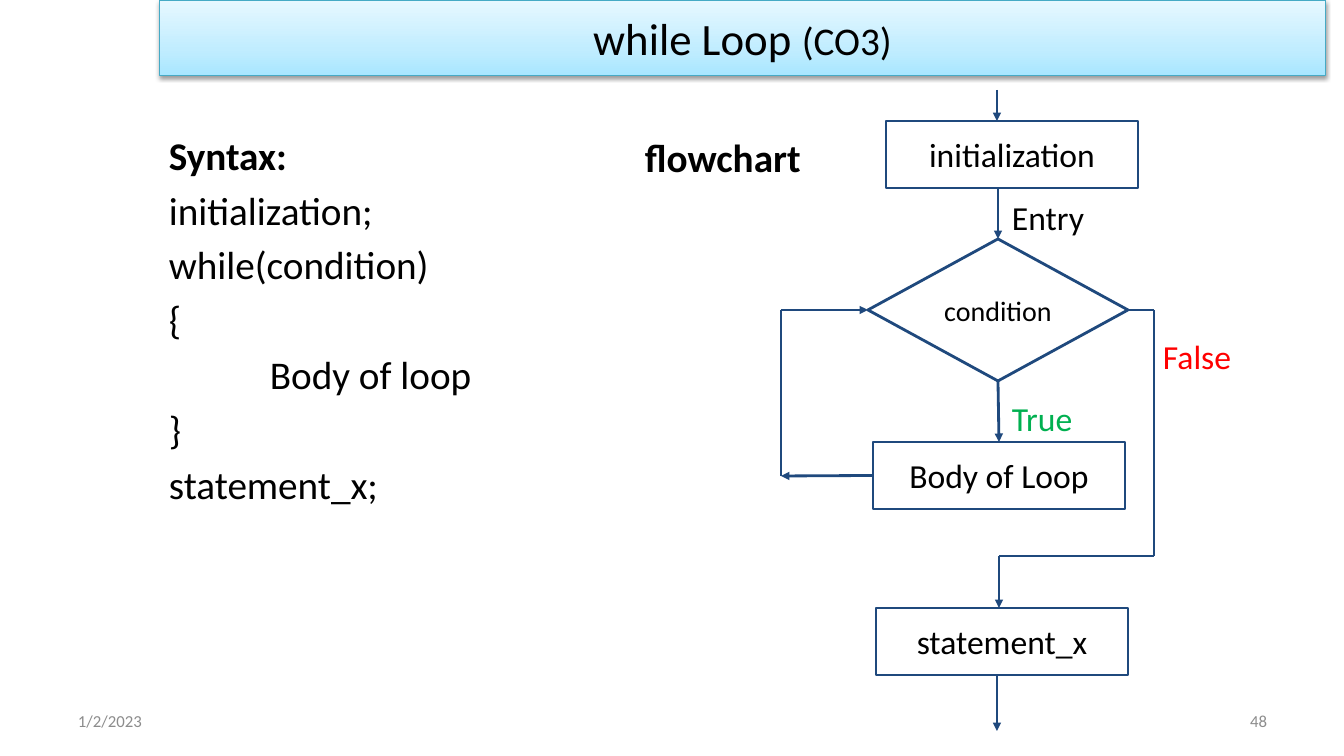
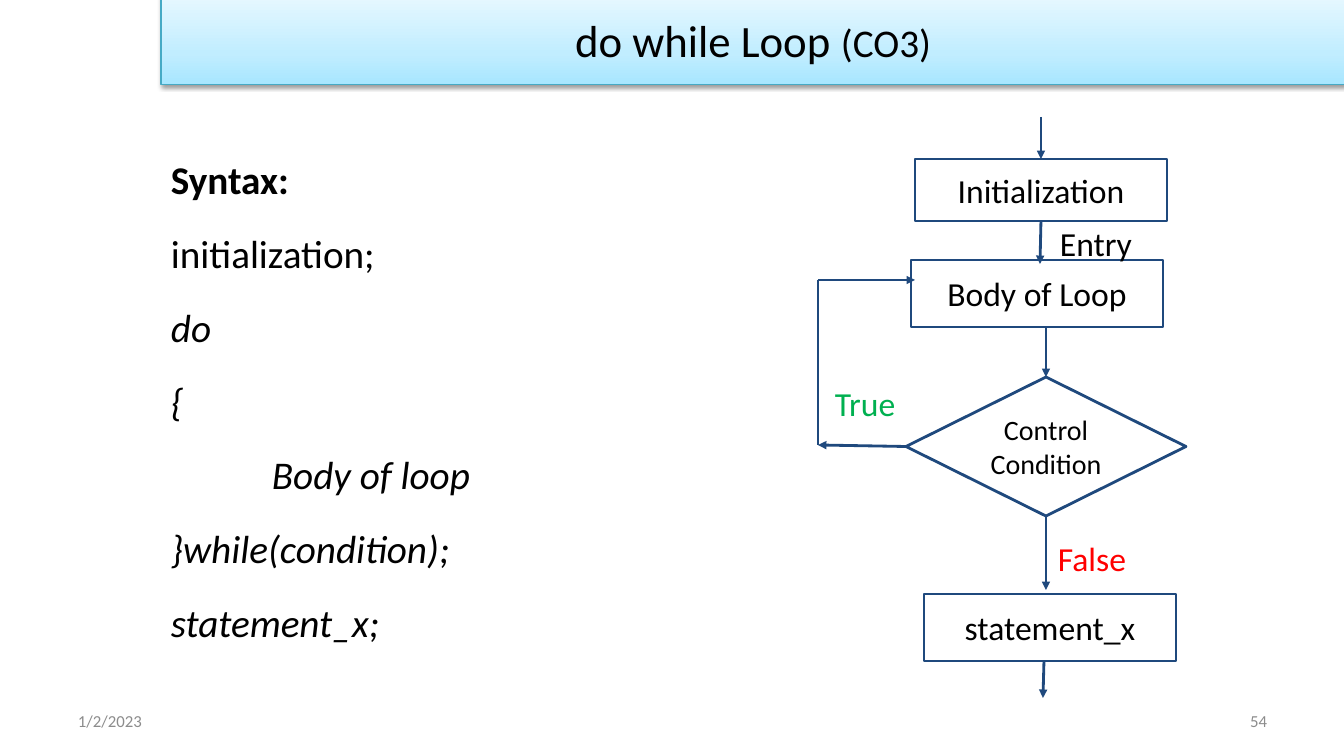
"""Build two slides that explain the while and do while loops with flowcharts."""
from itertools import pairwise

from lxml import etree
from pptx import Presentation
from pptx.dml.color import RGBColor
from pptx.enum.shapes import MSO_CONNECTOR, MSO_SHAPE
from pptx.enum.text import MSO_ANCHOR, PP_ALIGN
from pptx.oxml.ns import qn
from pptx.util import Pt

EMU_PER_PX = 914400 / 100.8
STRAIGHT = MSO_CONNECTOR.STRAIGHT
RECTANGLE = MSO_SHAPE.RECTANGLE
PROCESS = MSO_SHAPE.FLOWCHART_PROCESS
DECISION = MSO_SHAPE.FLOWCHART_DECISION
LEFT, CENTER, RIGHT = PP_ALIGN.LEFT, PP_ALIGN.CENTER, PP_ALIGN.RIGHT
TOP_ANCHOR, MIDDLE = MSO_ANCHOR.TOP, MSO_ANCHOR.MIDDLE
TOP, LEFT_SIDE, BOTTOM, RIGHT_SIDE = range(4)

FONT = "Calibri"
BLACK, WHITE, GRAY = "000000", "FFFFFF", "8C8C8C"
NAVY, TEAL, GREEN, RED = "1F497D", "46AAC5", "00B050", "FF0000"
BAND_STOPS = [(0, "A7E6FF"), (35, "C1EDFF"), (100, "E7F8FF")]
BOLD, ITALIC, PLAIN = {"bold": True}, {"italic": True}, {}
INDENT = 101

SLIDES = [
    {
        "title": "while Loop ",
        "band": (159, 0, 1167, 76),
        "number": "48",
        "syntax_area": (159, 126, 462, 521),
        "line_spacing": 1.0,
        "syntax": [
            ("Syntax:", BOLD, 0),
            ("initialization;", PLAIN, 0),
            ("while(condition)", PLAIN, 0),
            ("{", PLAIN, 0),
            ("Body of loop", PLAIN, INDENT),
            ("}", PLAIN, 0),
            ("statement_x;", PLAIN, 0),
        ],
        "steps": {
            "init": (PROCESS, "initialization", 24, (886, 121, 252, 67)),
            "condition": (DECISION, "condition", 20, (868, 239, 260, 142)),
            "body": (PROCESS, "Body of Loop", 24, (873, 442, 252, 67)),
            "statement": (PROCESS, "statement_x", 24, (876, 608, 252, 67)),
        },
        "routes": [
            [(997, 90), (997, 121)],
            [(998, 188), ("condition", TOP)],
            [("condition", BOTTOM), ("body", TOP)],
            [("body", LEFT_SIDE), (781, 476)],
            [(781, 476), (781, 310), ("condition", LEFT_SIDE)],
            [("condition", RIGHT_SIDE), (1154, 310), (1154, 556), (999, 556), (999, 608)],
            [(997, 675), (997, 731)],
        ],
        "labels": [
            ("Entry", BLACK, 24, PLAIN, (1002, 192, 101, 50)),
            ("True", GREEN, 24, PLAIN, (1002, 393, 82, 50)),
            ("False", RED, 24, PLAIN, (1153, 331, 123, 50)),
            ("flowchart", BLACK, 28, BOLD, (635, 128, 222, 56)),
        ],
    },
    {
        "title": "do while Loop ",
        "band": (161, -5, 1184, 90),
        "number": "54",
        "syntax_area": (161, 132, 540, 557),
        "line_spacing": 1.4,
        "syntax": [
            ("Syntax:", BOLD, 0),
            ("initialization;", PLAIN, 0),
            ("do", ITALIC, 0),
            ("{", ITALIC, 0),
            ("Body of loop", ITALIC, INDENT),
            ("}while(condition);", ITALIC, 0),
            ("statement_x;", ITALIC, 0),
        ],
        "steps": {
            "init": (PROCESS, "Initialization", 24, (915, 159, 252, 62)),
            "body": (PROCESS, "Body of Loop", 24, (911, 260, 252, 67)),
            "condition": (DECISION, "Control Condition", 20, (906, 377, 280, 139)),
            "statement": (PROCESS, "statement_x", 24, (924, 594, 252, 67)),
        },
        "routes": [
            [(1041, 117), ("init", TOP)],
            [("init", BOTTOM), (1040, 264)],
            [(1046, 328), ("condition", TOP)],
            [("condition", LEFT_SIDE), (818, 445)],
            [(818, 445), (818, 280), (915, 280)],
            [("condition", BOTTOM), (1046, 590)],
            [(1044, 661), (1043, 698)],
        ],
        "labels": [
            ("Entry", BLACK, 24, PLAIN, (1050, 218, 101, 50)),
            ("True", GREEN, 24, PLAIN, (825, 378, 82, 50)),
            ("False", RED, 24, PLAIN, (1048, 533, 127, 50)),
        ],
    },
]


def px(*lengths):
    return [round(length * EMU_PER_PX) for length in lengths]


def write(paragraph, text, size, color=BLACK, align=LEFT, style=PLAIN):
    paragraph.alignment = align
    run = paragraph.add_run()
    run.text = text
    run.font.color.rgb = RGBColor.from_string(color)
    for name, value in {"name": FONT, "size": Pt(size), **style}.items():
        setattr(run.font, name, value)


deck = Presentation()
deck.slide_width, deck.slide_height = px(1344, 756)

for content in SLIDES:
    slide = deck.slides.add_slide(deck.slide_layouts[6])
    shapes = slide.shapes

    band = shapes.add_shape(RECTANGLE, *px(*content["band"]))
    band.shadow.inherit = False
    band.fill.gradient()
    band.fill.gradient_angle = 90
    stops = band._element.spPr.find(".//" + qn("a:gsLst"))
    stops.clear()
    for position, color in BAND_STOPS:
        stop = etree.SubElement(stops, qn("a:gs"), pos=str(position * 1000))
        etree.SubElement(stop, qn("a:srgbClr"), val=color)
    band.line.color.rgb = RGBColor.from_string(TEAL)
    band.line.width = Pt(0.75)
    effects = band._element.spPr.find(qn("a:effectLst"))
    shadow = etree.SubElement(effects, qn("a:outerShdw"), blurRad=str(Pt(3.1)),
                              dist=str(Pt(1.6)), dir="5400000", rotWithShape="0")
    shade = etree.SubElement(shadow, qn("a:srgbClr"), val=BLACK)
    etree.SubElement(shade, qn("a:alpha"), val="38000")
    band.text_frame.vertical_anchor = MIDDLE
    heading = band.text_frame.paragraphs[0]
    write(heading, content["title"], 32, align=CENTER)
    write(heading, "(CO3)", 28, align=CENTER)

    syntax = shapes.add_textbox(*px(*content["syntax_area"])).text_frame
    syntax.word_wrap = True
    for index, (code, style, indent) in enumerate(content["syntax"]):
        line = syntax.add_paragraph() if index else syntax.paragraphs[0]
        line.line_spacing = content["line_spacing"]
        line.space_before = Pt(5.6 if index else 0)
        line._p.get_or_add_pPr().set("marL", str(px(indent)[0]))
        write(line, code, 28, style=style)

    steps = {}
    for key, (outline, caption, size, area) in content["steps"].items():
        step = steps[key] = shapes.add_shape(outline, *px(*area))
        step.shadow.inherit = False
        step.fill.solid()
        step.fill.fore_color.rgb = RGBColor.from_string(WHITE)
        step.line.color.rgb = RGBColor.from_string(NAVY)
        step.line.width = Pt(2)
        step.text_frame.word_wrap = True
        step.text_frame.vertical_anchor = MIDDLE
        write(step.text_frame.paragraphs[0], caption, size, align=CENTER)

    for route in content["routes"]:
        for start, end in pairwise(route):
            corners = [(0, 0) if point[0] in steps else point for point in (start, end)]
            leg = shapes.add_connector(STRAIGHT, *px(*corners[0], *corners[1]))
            for point, connect in ((start, leg.begin_connect), (end, leg.end_connect)):
                if point[0] in steps:
                    connect(steps[point[0]], point[1])
            leg.line.color.rgb = RGBColor.from_string(NAVY)
            leg.line.width = Pt(2)
            properties = leg._element.spPr
            etree.SubElement(properties, qn("a:effectLst"))
        etree.SubElement(properties.find(qn("a:ln")), qn("a:tailEnd"), type="triangle")

    footers = [
        ("1/2/2023", GRAY, 12, PLAIN, (68, 701, 313, 40), LEFT, MIDDLE),
        (content["number"], GRAY, 12, PLAIN, (964, 701, 313, 40), RIGHT, MIDDLE),
    ]
    labels = [(*label, LEFT, TOP_ANCHOR) for label in content["labels"]]
    for caption, color, size, style, area, align, anchor in labels + footers:
        frame = shapes.add_textbox(*px(*area)).text_frame
        frame.word_wrap = True
        frame.vertical_anchor = anchor
        write(frame.paragraphs[0], caption, size, color, align, style)

deck.save("out.pptx")
